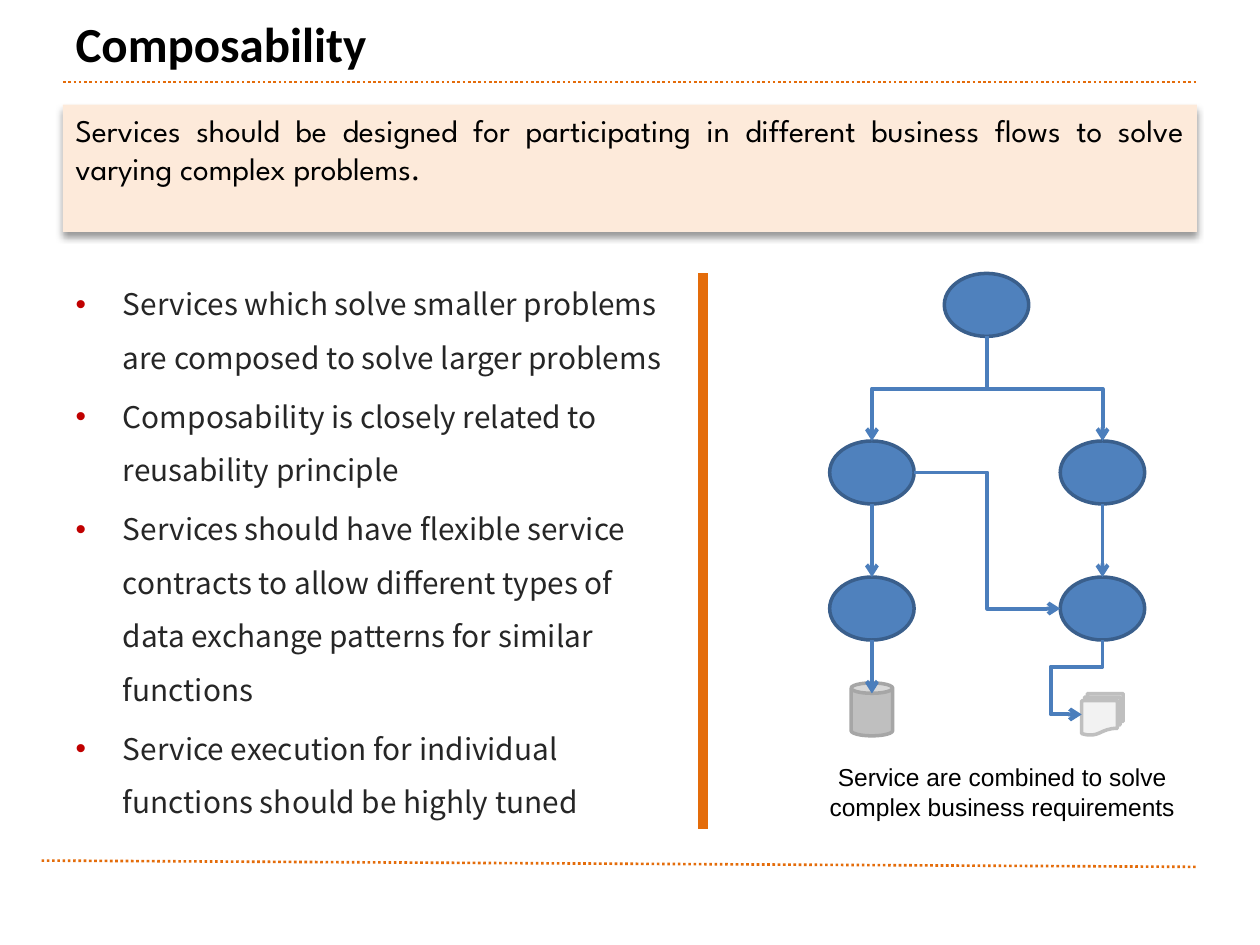
"""Build the Composability slide with its service flow diagram."""
from lxml import etree
from pptx import Presentation
from pptx import util as u
from pptx.dml.color import RGBColor
from pptx.enum import dml, shapes, text
from pptx.oxml import ns

BLACK = RGBColor(0x00, 0x00, 0x00)
INK = RGBColor(0x26, 0x26, 0x26)
ORANGE = RGBColor(0xE4, 0x6C, 0x0A)
PEACH = RGBColor(0xFD, 0xEA, 0xDA)
BLUE = RGBColor(0x4F, 0x81, 0xBD)
NAVY = RGBColor(0x3A, 0x5F, 0x8C)
LINK = RGBColor(0x4B, 0x7E, 0xBC)
PALE = RGBColor(0xF2, 0xF2, 0xF2)
GREY = RGBColor(0xBF, 0xBF, 0xBF)
DARK = RGBColor(0xA6, 0xA6, 0xA6)

TITLE = "Composability"
LEAD = ("Services should be designed for participating in different business "
        "flows to solve varying complex problems.")
POINTS = [
    "Services which solve smaller problems are composed to solve larger problems",
    "Composability is closely related to reusability principle",
    "Services should have flexible service contracts to allow different types of "
    "data exchange patterns for similar functions",
    "Service execution for individual functions should be highly tuned",
]
NOTE = "Service are combined to solve complex business requirements"

RULES = [
    ((0.5, 0.65), (9.5, 0.65), 1.5, dml.MSO_LINE.ROUND_DOT),
    ((0.33, 6.83), (9.5, 6.88), 1.5, dml.MSO_LINE.ROUND_DOT),
    ((5.58, 2.17), (5.58, 6.58), 6, None),
]
LEFT, MID, RIGHT = 6.92, 7.83, 8.75
KINDS = {
    "node": (shapes.MSO_SHAPE.OVAL, 0.67, 0.5, BLUE, NAVY),
    "store": (shapes.MSO_SHAPE.CAN, 0.33, 0.42, GREY, DARK),
    "docs": (shapes.MSO_SHAPE.FLOWCHART_MULTIDOCUMENT, 0.33, 0.33, PALE, GREY),
}
PARTS = {
    "root": ("node", MID, 2.42),
    "left": ("node", LEFT, 3.75),
    "right": ("node", RIGHT, 3.75),
    "low right": ("node", RIGHT, 4.83),
    "low left": ("node", LEFT, 4.83),
    "store": ("store", LEFT, 5.63),
    "docs": ("docs", RIGHT, 5.67),
}
SIDES = {"top": (0, -0.5), "base": (0, 0.5), "west": (-0.5, 0),
         "east": (0.5, 0), "lid": (0, -0.3)}
LINKS = [
    ("root", "base", "left", "top", [50]),
    ("root", "base", "right", "top", [50]),
    ("left", "base", "low left", "top", [50]),
    ("right", "base", "low right", "top", [50]),
    ("low left", "base", "store", "lid", [50]),
    ("low right", "base", "docs", "west", [35.7, 250]),
    ("left", "east", "low right", "west", [50]),
]


def style(thing, look):
    for key, val in look.items():
        setattr(thing, key, val)


def add(root, tag, **attrs):
    return etree.SubElement(root, ns.qn(tag), attrs)


def place(thing, *box):
    style(thing, dict(zip(("left", "top", "width", "height"), map(u.Inches, box))))


def write(frame, lines, look, para, font, ink):
    style(frame, {"word_wrap": True, **look})
    for num, line in enumerate(lines):
        par = frame.paragraphs[0] if num == 0 else frame.add_paragraph()
        style(par, para)
        run = par.add_run()
        run.text = line
        style(run.font, font)
        run.font.color.rgb = ink


def draw(slide, kind, box, fill, edge=None):
    form = slide.shapes.add_shape(kind, *map(u.Inches, box))
    form.shadow.inherit = False
    form.fill.solid()
    form.fill.fore_color.rgb = fill
    if edge is None:
        form.line.fill.background()
    else:
        form.line.color.rgb = edge
        form.line.width = u.Pt(2)
    return form


def wire(slide, kind, start, end, ink, width):
    line = slide.shapes.add_connector(kind, *map(u.Inches, (*start, *end)))
    line.line.color.rgb = ink
    line.line.width = u.Pt(width)
    add(line._element.spPr, "a:effectLst")
    return line


def spot(name, side):
    kind, x, y = PARTS[name]
    wide, high = KINDS[kind][1:3]
    dx, dy = SIDES[side]
    return x + dx * wide, y + dy * high


def join(slide, start, end, bends, down):
    line = wire(slide, shapes.MSO_CONNECTOR.ELBOW, start, end, LINK, 2.25)
    add(line.line._get_or_add_ln(), "a:tailEnd", type="arrow")
    geom = line._element.spPr.find(ns.qn("a:prstGeom"))
    geom.set("prst", f"bentConnector{len(bends) + 2}")
    guides = geom.find(ns.qn("a:avLst"))
    if guides is None:
        guides = add(geom, "a:avLst")
    for num, bend in enumerate(bends, 1):
        add(guides, "a:gd", name=f"adj{num}", fmla=f"val {round(bend * 1000)}")
    if down:
        (x1, y1), (x2, y2) = start, end
        wide, high = abs(y2 - y1), abs(x2 - x1)
        place(line, (x1 + x2 - wide) / 2, (y1 + y2 - high) / 2, wide, high)
        frame = line._element.spPr.find(ns.qn("a:xfrm"))
        for key in ("flipH", "flipV"):
            frame.attrib.pop(key, None)
        frame.set("rot", str((270 if x2 > x1 else 90) * 60000))
        if x2 > x1:
            frame.set("flipH", "1")


def bullet(par):
    props = par._p.get_or_add_pPr()
    style(props, {"marL": u.Inches(0.38), "indent": u.Inches(-0.38)})
    add(add(props, "a:buClr"), "a:srgbClr", val="C00000")
    add(props, "a:buFont", typeface="Arial")
    add(props, "a:buChar", char="•")


def shade(form):
    glow = form._element.spPr.find(ns.qn("a:effectLst"))
    cast = add(glow, "a:outerShdw", blurRad=str(u.Pt(4)), dist=str(u.Pt(3)),
               dir="5400000", rotWithShape="0")
    add(add(cast, "a:srgbClr", val="000000"), "a:alpha", val="40000")


def main():
    deck = Presentation()
    style(deck, {"slide_width": u.Inches(10), "slide_height": u.Inches(7.5)})
    slide = deck.slides.add_slide(deck.slide_layouts[1])
    high = {"vertical_anchor": text.MSO_ANCHOR.TOP}
    fixed = {**high, "auto_size": text.MSO_AUTO_SIZE.NONE}

    for start, end, width, dash in RULES:
        rule = wire(slide, shapes.MSO_CONNECTOR.STRAIGHT, start, end, ORANGE, width)
        if dash:
            rule.line.dash_style = dash

    head, body = slide.shapes.title, slide.placeholders[1]
    place(head, 0.5, 0.06, 9, 0.62)
    write(head.text_frame, [TITLE], fixed, {"alignment": text.PP_ALIGN.LEFT},
          {"name": "Calibri", "size": u.Pt(28), "bold": True}, BLACK)
    place(body, 0.5, 2.08, 5, 4.33)
    write(body.text_frame, POINTS, fixed,
          {"line_spacing": 1.5, "space_before": u.Pt(3)},
          {"name": "Noto Sans CJK KR", "size": u.Pt(17)}, INK)
    for par in body.text_frame.paragraphs:
        bullet(par)

    lead = draw(slide, shapes.MSO_SHAPE.RECTANGLE, (0.5, 0.83, 9, 1.01), PEACH)
    shade(lead)
    write(lead.text_frame, [LEAD], high, {"alignment": text.PP_ALIGN.JUSTIFY},
          {"name": "League Spartan", "size": u.Pt(18)}, BLACK)

    for kind, x, y in PARTS.values():
        form, wide, tall, fill, edge = KINDS[kind]
        draw(slide, form, (x - wide / 2, y - tall / 2, wide, tall), fill, edge)
    for src, out, dest, into, bends in LINKS:
        join(slide, spot(src, out), spot(dest, into), bends, out == "base")

    note = slide.shapes.add_textbox(*map(u.Inches, (6.33, 6, 3.25, 0.57)))
    write(note.text_frame, [NOTE], {}, {"alignment": text.PP_ALIGN.CENTER},
          {"name": "Arial", "size": u.Pt(14)}, BLACK)
    deck.save("out.pptx")


if __name__ == "__main__":
    main()
